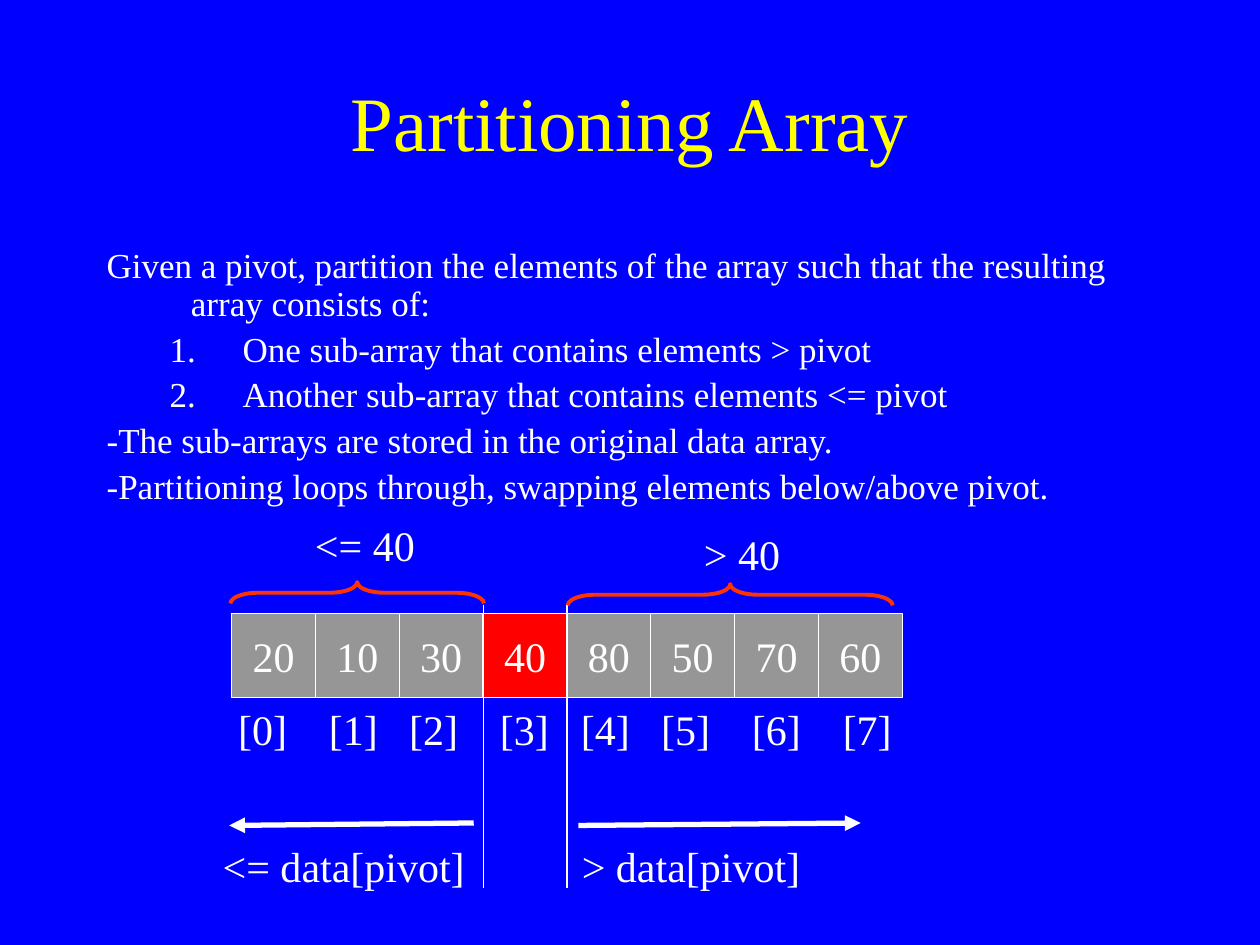
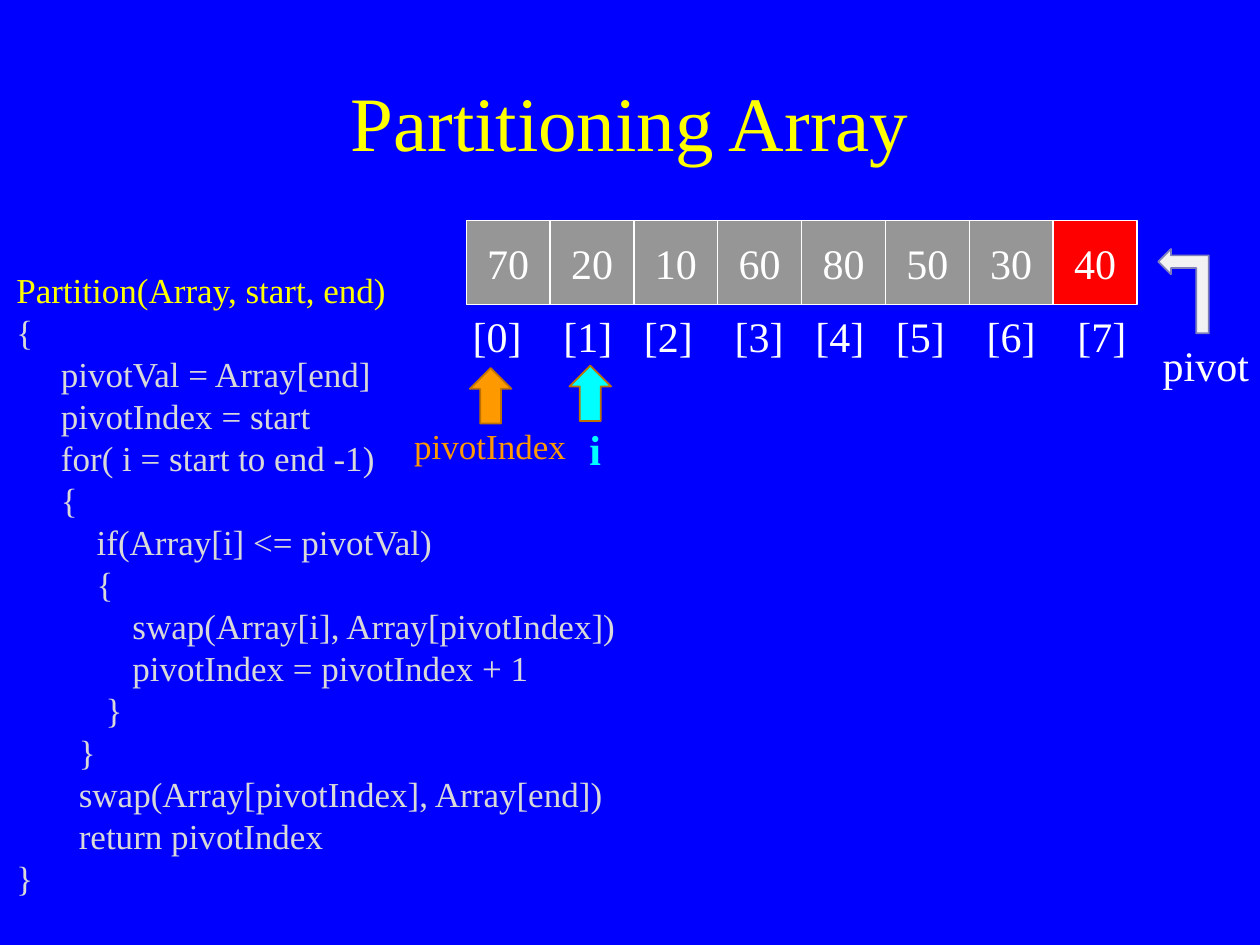
import pptx
import pptx.dml.color
import pptx.enum.shapes
import pptx.enum.text
import pptx.oxml.ns
import pptx.util
from lxml import etree

Cm = pptx.util.Cm
Pt = pptx.util.Pt
SHAPE = pptx.enum.shapes.MSO_SHAPE
ALIGN = pptx.enum.text.PP_ALIGN
ANCHOR = pptx.enum.text.MSO_ANCHOR

# Shared style
FONT = "Times New Roman"
BLUE, YELLOW, WHITE, GRAY, RED = "0000FF", "FFFF00", "FFFFFF", "969696", "FF0000"
BRACE_RED, ORANGE, CYAN, BROWN = "FF3300", "FF9900", "00FFFF", "BD7100"
CODE_GRAY, PALE, VIOLET = "D9D9D9", "F2F2F2", "7E7EBD"
CELL = 1.69
INDEX_TABS = (1.83, 3.45, 5.28, 6.91, 8.53, 10.36, 12.19)


def color(hex_value):
    return pptx.dml.color.RGBColor.from_string(hex_value)


def set_format(target, values):
    for name, value in values.items():
        setattr(target, name, value)


def add_xml(parent, tag, **attributes):
    return etree.SubElement(parent, pptx.oxml.ns.qn(tag), attributes)


class Deck:
    """Holds the presentation, its style and the current slide."""

    def __init__(self):
        self.presentation = pptx.Presentation()
        set_format(self.presentation,
                   {"slide_width": Cm(25.4), "slide_height": Cm(19.05)})
        self.slide = None

    def new_slide(self, title):
        layout = self.presentation.slide_layouts[6]
        self.slide = self.presentation.slides.add_slide(layout)
        fill = self.slide.background.fill
        fill.solid()
        fill.fore_color.rgb = color(BLUE)
        frame = self.text([title], 1.9, 0.84, 21.6, 3.18, size=44, hex_value=YELLOW)
        frame.vertical_anchor = ANCHOR.MIDDLE
        frame.paragraphs[0].alignment = ALIGN.CENTER

    def styled_run(self, paragraph, text, size, hex_value, bold=False):
        run = paragraph.add_run()
        run.text = text
        set_format(run.font, {"name": FONT, "size": Pt(size), "bold": bold})
        run.font.color.rgb = color(hex_value)

    def text(self, lines, left, top, width, height=1.27, size=24,
             hex_value=WHITE, bold=False):
        box = self.slide.shapes.add_textbox(Cm(left), Cm(top), Cm(width), Cm(height))
        frame = box.text_frame
        frame.word_wrap = True
        for number, line in enumerate(lines):
            paragraph = frame.add_paragraph() if number else frame.paragraphs[0]
            self.styled_run(paragraph, line, size, hex_value, bold)
        return frame

    def shape(self, kind, left, top, width, height, fill=None, line=WHITE,
              weight=0.75, rotation=0):
        shape = self.slide.shapes.add_shape(
            kind, Cm(left), Cm(top), Cm(width), Cm(height))
        shape.shadow.inherit = False
        shape.rotation = rotation
        if fill:
            shape.fill.solid()
            shape.fill.fore_color.rgb = color(fill)
        else:
            shape.fill.background()
        shape.line.color.rgb = color(line)
        shape.line.width = Pt(weight)
        return shape

    def line(self, x1, y1, x2, y2, weight=0.75, arrow=False):
        connector = self.slide.shapes.add_connector(
            pptx.enum.shapes.MSO_CONNECTOR.STRAIGHT, Cm(x1), Cm(y1), Cm(x2), Cm(y2))
        connector.line.color.rgb = color(WHITE)
        connector.line.width = Pt(weight)
        properties = connector._element.spPr
        if arrow:
            add_xml(properties.find(pptx.oxml.ns.qn("a:ln")), "a:tailEnd",
                    type="triangle")
        add_xml(properties, "a:effectLst")

    def brace(self, center_x, center_y, length, depth=0.43):
        brace = self.shape(SHAPE.LEFT_BRACE, center_x - depth / 2,
                           center_y - length / 2, depth, length,
                           line=BRACE_RED, weight=2.25, rotation=90)
        brace.adjustments[0] = 1.292

    def array(self, values, pivot, left, top):
        for index, value in enumerate(values):
            cell = self.shape(SHAPE.RECTANGLE, left + index * CELL, top, CELL, CELL,
                              RED if value == pivot else GRAY)
            set_format(cell.text_frame,
                       {"word_wrap": False, "vertical_anchor": ANCHOR.MIDDLE})
            paragraph = cell.text_frame.paragraphs[0]
            paragraph.alignment = ALIGN.CENTER
            self.styled_run(paragraph, str(value), 24, WHITE)
        # Index row, one tab stop for each label after the first
        labels = "\t".join(f"[{index}]" for index in range(len(values)))
        frame = self.text([labels], left - 0.12, top + CELL, 14.55)
        tabs = add_xml(frame.paragraphs[0]._p.get_or_add_pPr(), "a:tabLst")
        for stop in INDEX_TABS:
            add_xml(tabs, "a:tab", pos=str(Cm(stop)), algn="l")

    def outline(self, items, left, top, width, height):
        frame = self.text([text for text, _ in items], left, top, width, height, 20)
        for paragraph, (_, numbered) in zip(frame.paragraphs, items):
            set_format(paragraph, {"level": int(numbered), "line_spacing": 0.9,
                                   "space_before": Pt(4.6)})
            margin, hanging = (2.74, 1.47) if numbered else (1.7, 1.7)
            properties = paragraph._p.get_or_add_pPr()
            properties.set("marL", str(Cm(margin)))
            properties.set("indent", str(-Cm(hanging)))
            if numbered:
                add_xml(properties, "a:buFont", typeface=FONT)
                add_xml(properties, "a:buAutoNum", type="arabicPeriod")

    def code(self, lines, left, top, width, height):
        frame = self.text([text for _, text in lines], left, top, width, height,
                          20, CODE_GRAY)
        frame.paragraphs[0].runs[0].font.color.rgb = color(YELLOW)
        for paragraph, (columns, _) in zip(frame.paragraphs, lines):
            paragraph.line_spacing = Pt(24)
            paragraph._p.get_or_add_pPr().set("marL", str(Cm(columns * 0.18)))

    def up_arrow(self, left, top, fill):
        self.shape(SHAPE.UP_ARROW, left, top, 0.84, 1.12, fill, BROWN, 1)


deck = Deck()

# Slide 1: the result of partitioning
deck.new_slide("Partitioning Array")
deck.outline([
    ("Given a pivot, partition the elements of the array such that the resulting "
     "array consists of:", False),
    ("One sub-array that contains elements > pivot", True),
    ("Another sub-array that contains elements <= pivot", True),
    ("-The sub-arrays are stored in the original data array.", False),
    ("-Partitioning loops through, swapping elements below/above pivot.", False),
], 1.9, 4.88, 21.6, 5.49)

array_left = 4.67
deck.array([20, 10, 30, 40, 80, 50, 70, 60], 40, array_left, 12.37)
for boundary in (3, 4):
    x = array_left + boundary * CELL
    deck.line(x, 12.19, x, 17.91)
deck.line(9.55, 16.59, 4.62, 16.64, 3, arrow=True)
deck.line(11.66, 16.64, 17.35, 16.59, 3, arrow=True)
deck.brace(7.2, 11.95, 5.11)
deck.brace(14.72, 11.99, 6.55)
for label, left, top, width in (
        ("<= data[pivot]", 4.24, 16.81, 5.5), ("> data[pivot]", 11.48, 16.81, 5.1),
        ("<= 40", 6.1, 10.34, 2.77), ("> 40", 13.94, 10.52, 2.5)):
    deck.text([label], left, top, width)

# Slide 2: the algorithm with its start state
deck.new_slide("Partitioning Array")
deck.code([
    (0, "Partition(Array, start, end)"),
    (0, "{"),
    (5, "pivotVal = Array[end]"),
    (5, "pivotIndex = start"),
    (5, "for( i = start to end -1)"),
    (5, "{"),
    (9, "if(Array[i] <= pivotVal)"),
    (9, "{"),
    (13, "swap(Array[i], Array[pivotIndex])"),
    (13, "pivotIndex = pivotIndex + 1"),
    (10, "}"),
    (7, "}"),
    (7, "swap(Array[pivotIndex], Array[end])"),
    (7, "return pivotIndex"),
    (0, "}"),
], 0.08, 5.28, 19.76, 13.08)
deck.array([70, 20, 10, 60, 80, 50, 30, 40], 40, 9.4, 4.45)

# Markers for the two indexes and the pivot
deck.up_arrow(11.48, 7.37, CYAN)
deck.text(["i"], 11.63, 8.41, 0.8, hex_value=CYAN, bold=True)
deck.up_arrow(9.47, 7.42, ORANGE)
deck.text(["pivotIndex"], 8.1, 8.43, 4.27, 1.12, 20, ORANGE)
deck.shape(SHAPE.BENT_UP_ARROW, 23.01, 5.36, 1.7, 1.02, PALE, VIOLET, 1, rotation=270)
deck.text(["pivot"], 23.19, 6.71, 2.4)

deck.presentation.save("out.pptx")
